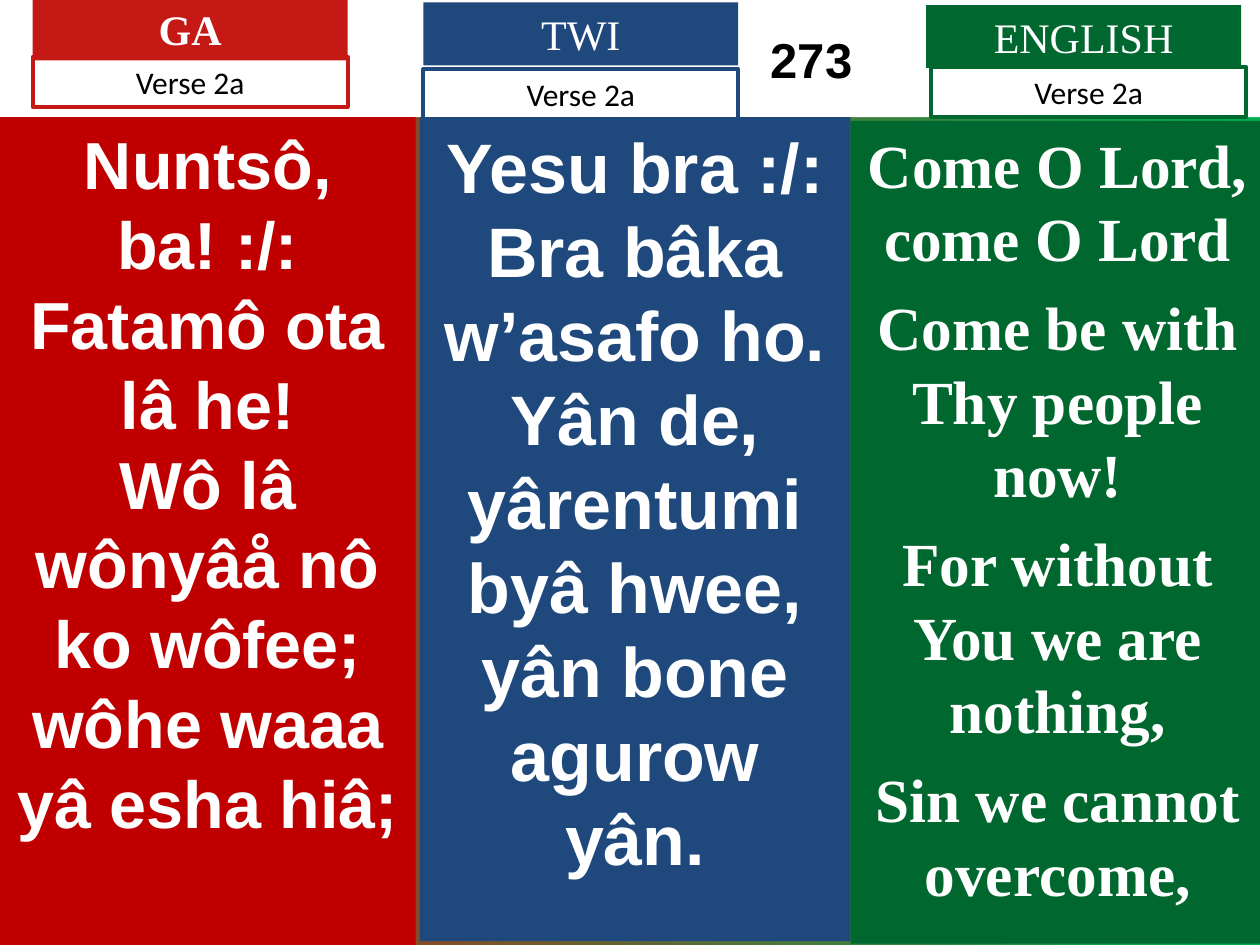
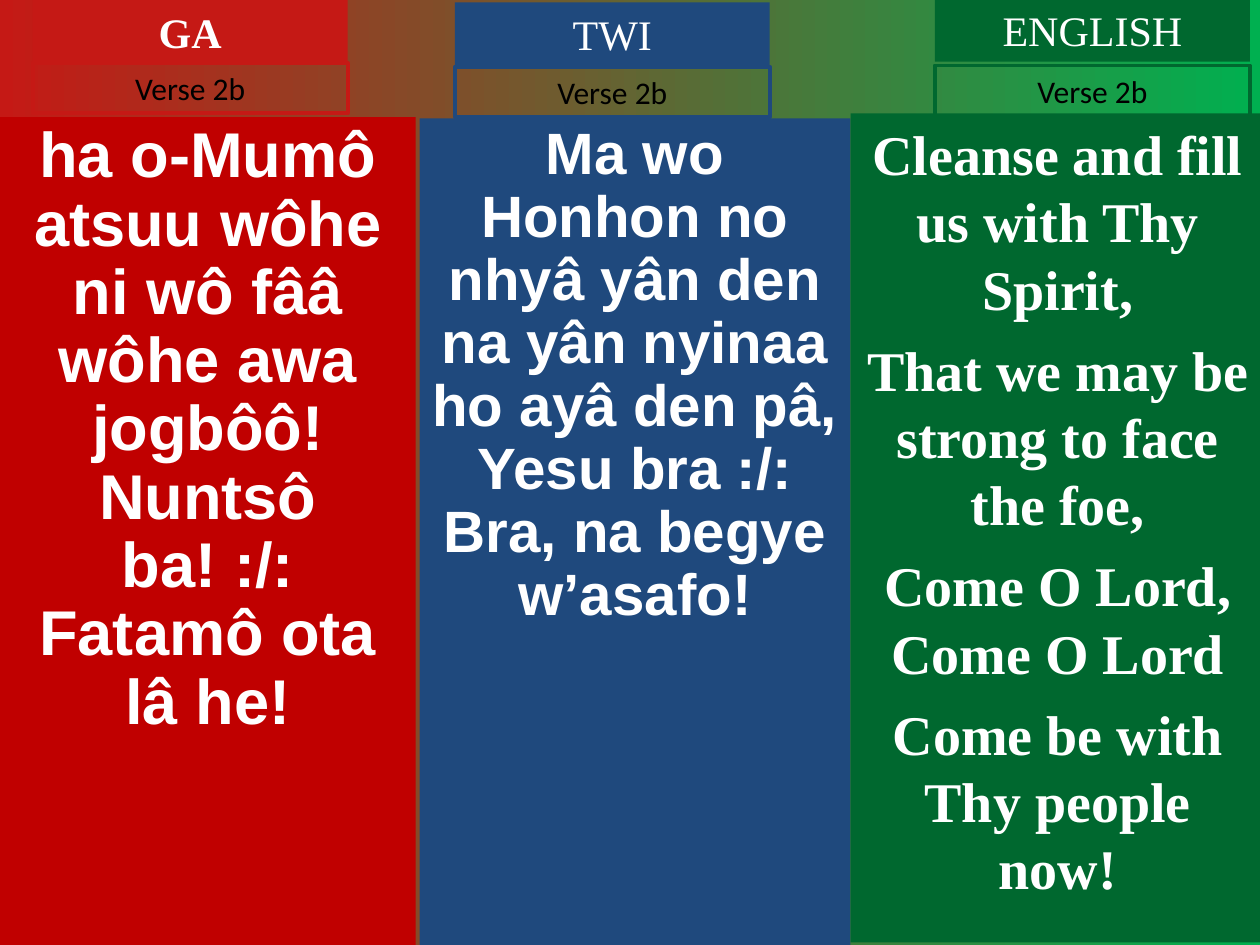
import pptx
import pptx.util
import pptx.dml.color
import pptx.enum.shapes
import pptx.enum.text
from pptx.util import Inches

RED, BLUE, GREEN = "C51915", "1F497D", "00682F"
DEEP_RED, BRIGHT_GREEN = "C00000", "00B050"
WHITE, BLACK = "FFFFFF", "000000"
SANS, SERIF, LABEL = "Arial", "Times New Roman", "Calibri"
HEADING_SIZE = (2.5, 0.5)
VERSE_SIZE = (2.5, 0.4)

LANGUAGES = {
    "GA": dict(accent=RED, panel=DEEP_RED, font=SANS, bold_heading=True),
    "TWI": dict(accent=BLUE, panel=BLUE, font=SANS, bold_heading=False),
    "ENGLISH": dict(accent=GREEN, panel=GREEN, font=SERIF, bold_heading=False),
}

VERSES = [
    dict(
        label="Verse 2a", hymn_number="273", line_spacing=None,
        columns=[
            dict(language="GA", panel=(0, 0.93, 3.3, 6.57), heading=(0.26, -0.02),
                 verse=(0.26, 0.45), size=38, gap=0,
                 lyrics=["Nuntsô, ba! :/:", "Fatamô ota lâ he!",
                         "Wô lâ wônyâå nô ko wôfee;", "wôhe waaa yâ esha hiâ;"]),
            dict(language="TWI", panel=(3.33, 0.93, 3.42, 6.54), heading=(3.36, 0.02),
                 verse=(3.36, 0.55), size=40, gap=0,
                 lyrics=["Yesu bra :/:", "Bra bâka w’asafo ho.",
                         "Yân de, yârentumi byâ hwee,", "yân bone agurow yân."]),
            dict(language="ENGLISH", panel=(6.75, 0.96, 3.29, 6.53), heading=(7.35, 0.04),
                 verse=(7.39, 0.53), size=35, gap=8.8,
                 lyrics=["Come O Lord, come O Lord", "Come be with Thy people now!",
                         "For without You we are nothing,", "Sin we cannot overcome,"]),
        ],
    ),
    dict(
        label="Verse 2b", hymn_number=None, line_spacing=0.9,
        columns=[
            dict(language="GA", panel=(0, 0.93, 3.3, 6.57), heading=(0.26, 0),
                 verse=(0.26, 0.5), size=36.1, gap=0,
                 lyrics=["ha o-Mumô atsuu wôhe", "ni wô fââ wôhe awa jogbôô!",
                         "Nuntsô ba! :/:", "Fatamô ota lâ he!"]),
            dict(language="TWI", panel=(3.33, 0.94, 3.42, 6.56), heading=(3.61, 0.02),
                 verse=(3.61, 0.53), size=33.3, gap=0,
                 lyrics=["Ma wo Honhon no nhyâ yân den", "na yân nyinaa ho ayâ den pâ,",
                         "Yesu bra :/:", "Bra, na begye w’asafo!"]),
            dict(language="ENGLISH", panel=(6.75, 0.9, 3.29, 6.58), heading=(7.42, -0.01),
                 verse=(7.42, 0.52), size=32, gap=8,
                 lyrics=["Cleanse and fill us with Thy Spirit,",
                         "That we may be strong to face the foe,",
                         "Come O Lord, Come O Lord", "Come be with Thy people now!"]),
        ],
    ),
]


def rgb(value):
    """Turn a hex string into a colour."""
    return pptx.dml.color.RGBColor.from_string(value)


def write(shape, lines, *, font, size, color, bold=False, gap=0, spacing=None, anchor="TOP"):
    """Fill a shape with centred paragraphs in one format."""
    frame = shape.text_frame
    frame.word_wrap = True
    frame.auto_size = pptx.enum.text.MSO_AUTO_SIZE.NONE
    frame.vertical_anchor = pptx.enum.text.MSO_ANCHOR[anchor]
    for index, line in enumerate(lines):
        paragraph = frame.add_paragraph() if index else frame.paragraphs[0]
        paragraph.alignment = pptx.enum.text.PP_ALIGN.CENTER
        paragraph.space_before = pptx.util.Pt(gap if index else 0)
        paragraph.line_spacing = spacing
        run = paragraph.add_run()
        run.text = line
        run.font.name = font
        run.font.size = pptx.util.Pt(size)
        run.font.bold = bold
        run.font.color.rgb = rgb(color)


def add_box(slide, bounds, fill=None, outline=None):
    """Add a rectangle with an optional fill and outline."""
    box = slide.shapes.add_shape(
        pptx.enum.shapes.MSO_SHAPE.RECTANGLE, *map(Inches, bounds))
    box.shadow.inherit = False
    if fill:
        box.fill.solid()
        box.fill.fore_color.rgb = rgb(fill)
    else:
        box.fill.background()
    if outline:
        box.line.color.rgb = rgb(outline)
        box.line.width = pptx.util.Pt(2.25)
    else:
        box.line.fill.background()
    return box


def paint_background(slide):
    """Blend the background from red to green."""
    fill = slide.background.fill
    fill.gradient()
    fill.gradient_angle = 0
    for stop, color in zip(fill.gradient_stops, (RED, BRIGHT_GREEN)):
        stop.color.rgb = rgb(color)


def add_hymn_number(slide, number):
    """Set the hymn number between the Twi and English headings."""
    title = slide.shapes.title
    title.left, title.top, title.width, title.height = map(Inches, (0, 0, 10, 0.93))
    title.fill.solid()
    title.fill.fore_color.rgb = rgb(WHITE)
    title.text_frame.margin_left = Inches(2.88)
    title.text_frame.margin_right = 0
    write(title, [number], font=SANS, size=28, color=BLACK, bold=True, anchor="MIDDLE")


def add_column(slide, column, label, spacing):
    """Add the lyrics, heading and verse label of one language."""
    name = column["language"]
    style = LANGUAGES[name]
    lyrics = add_box(slide, column["panel"], fill=style["panel"])
    write(lyrics, column["lyrics"], font=style["font"], size=column["size"], color=WHITE,
          bold=True, gap=column["gap"], spacing=None if column["gap"] else spacing)
    heading = add_box(slide, column["heading"] + HEADING_SIZE, fill=style["accent"])
    write(heading, [name], font=SERIF, size=24, color=WHITE, bold=style["bold_heading"])
    verse = add_box(slide, column["verse"] + VERSE_SIZE, outline=style["accent"])
    write(verse, [label], font=LABEL, size=18, color=BLACK)


def add_verse_slide(deck, verse):
    """Add a slide showing one verse in three languages."""
    number = verse["hymn_number"]
    slide = deck.slides.add_slide(deck.slide_layouts[5 if number else 6])
    paint_background(slide)
    if number:
        add_hymn_number(slide, number)
    for column in verse["columns"]:
        add_column(slide, column, verse["label"], verse["line_spacing"])


def main():
    """Build the hymn deck."""
    deck = pptx.Presentation()
    deck.slide_width, deck.slide_height = Inches(10), Inches(7.5)
    for verse in VERSES:
        add_verse_slide(deck, verse)
    deck.save("out.pptx")


if __name__ == "__main__":
    main()
